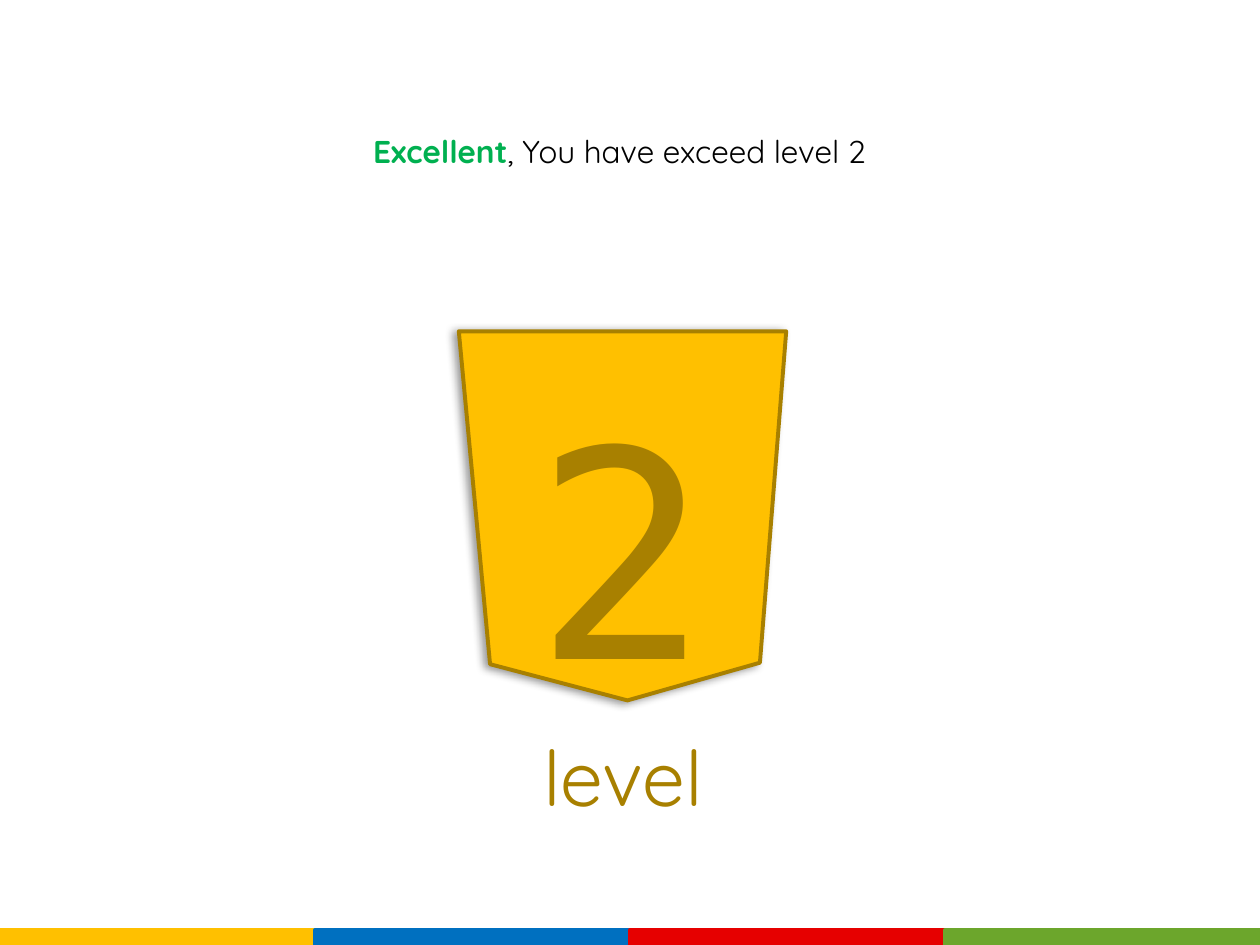
from lxml.etree import SubElement
from pptx import Presentation
from pptx.dml.color import RGBColor
from pptx.enum.shapes import MSO_SHAPE
from pptx.enum.text import MSO_ANCHOR, MSO_AUTO_SIZE, PP_ALIGN
from pptx.oxml.ns import qn
from pptx.util import Cm, Pt

MESSAGE = [("Excellent", "green", True), (", You have exceed level 2", "black", False)]
MESSAGE_BOX = (3.18, 2.54, 18.62, 1.02)
LABELS = [
    ("2", (10.52, 7.32, 4.14, 7.34), "DejaVu Sans Mono", "number", PP_ALIGN.LEFT),
    ("level", (10.01, 14.58, 5.11, 2.13), "Quicksand", "label", PP_ALIGN.CENTER),
]
BADGE = [(15.85, 6.68), (15.32, 13.36), (12.65, 14.12), (9.88, 13.39), (9.25, 6.68)]
STRIPES = ["gold", "blue", "red", "leaf"]
STRIPE_TOP, STRIPE_HEIGHT = 18.75, 0.3
SLIDE_WIDTH, SLIDE_HEIGHT = 25.4, 19.05

THEME = {
    "font": "Quicksand",
    "colors": {
        "gold": "FFC000", "bronze": "A88000", "blue": "0070C0", "red": "E60000",
        "leaf": "6CA62C", "green": "00B050", "black": "000000",
    },
    "sizes": {"message": 18, "label": 44, "number": 166},
}


def color(name):
    return RGBColor.from_string(THEME["colors"][name])


def paint(shape, fill, line, width):
    shape.shadow.inherit = False
    shape.fill.solid()
    shape.fill.fore_color.rgb = color(fill)
    shape.line.color.rgb = color(line)
    shape.line.width = Pt(width)


def format_text(shape, font_name, size, alignment):
    frame = shape.text_frame
    frame.word_wrap = True
    frame.auto_size = MSO_AUTO_SIZE.SHAPE_TO_FIT_TEXT
    frame.vertical_anchor = MSO_ANCHOR.TOP
    paragraph = frame.paragraphs[0]
    paragraph.alignment = alignment
    paragraph.font.name = font_name
    paragraph.font.size = Pt(THEME["sizes"][size])
    return paragraph


def add_message(slide):
    title = slide.shapes.title
    title.left, title.top, title.width, title.height = map(Cm, MESSAGE_BOX)
    paragraph = format_text(title, THEME["font"], "message", PP_ALIGN.CENTER)
    for text, color_name, bold in MESSAGE:
        run = paragraph.add_run()
        run.text = text
        run.font.bold = bold
        run.font.color.rgb = color(color_name)


def add_badge(slide):
    points = [(Cm(x), Cm(y)) for x, y in BADGE]
    builder = slide.shapes.build_freeform(*points[0])
    builder.add_line_segments(points[1:], close=True)
    badge = builder.convert_to_shape()
    paint(badge, "gold", "bronze", 2.25)
    effects = badge._element.spPr.find(qn("a:effectLst"))
    shadow = SubElement(effects, qn("a:outerShdw"), blurRad=str(Pt(5)),
                        dist=str(Pt(3)), dir="9900000", rotWithShape="0")
    shade = SubElement(shadow, qn("a:srgbClr"), val=THEME["colors"]["black"])
    SubElement(shade, qn("a:alpha"), val="40000")


def add_labels(slide):
    for text, box, font_name, size, alignment in LABELS:
        label = slide.shapes.add_textbox(*map(Cm, box))
        paragraph = format_text(label, font_name, size, alignment)
        paragraph.text = text
        paragraph.font.color.rgb = color("bronze")


def add_stripes(slide):
    width = SLIDE_WIDTH / len(STRIPES)
    for index, name in enumerate(STRIPES):
        stripe = slide.shapes.add_shape(
            MSO_SHAPE.RECTANGLE, Cm(index * width), Cm(STRIPE_TOP), Cm(width), Cm(STRIPE_HEIGHT))
        paint(stripe, name, name, 2)


def main():
    presentation = Presentation()
    presentation.slide_width = Cm(SLIDE_WIDTH)
    presentation.slide_height = Cm(SLIDE_HEIGHT)
    slide = presentation.slides.add_slide(presentation.slide_layouts[5])
    add_message(slide)
    add_badge(slide)
    add_labels(slide)
    add_stripes(slide)
    presentation.save("out.pptx")


if __name__ == "__main__":
    main()
